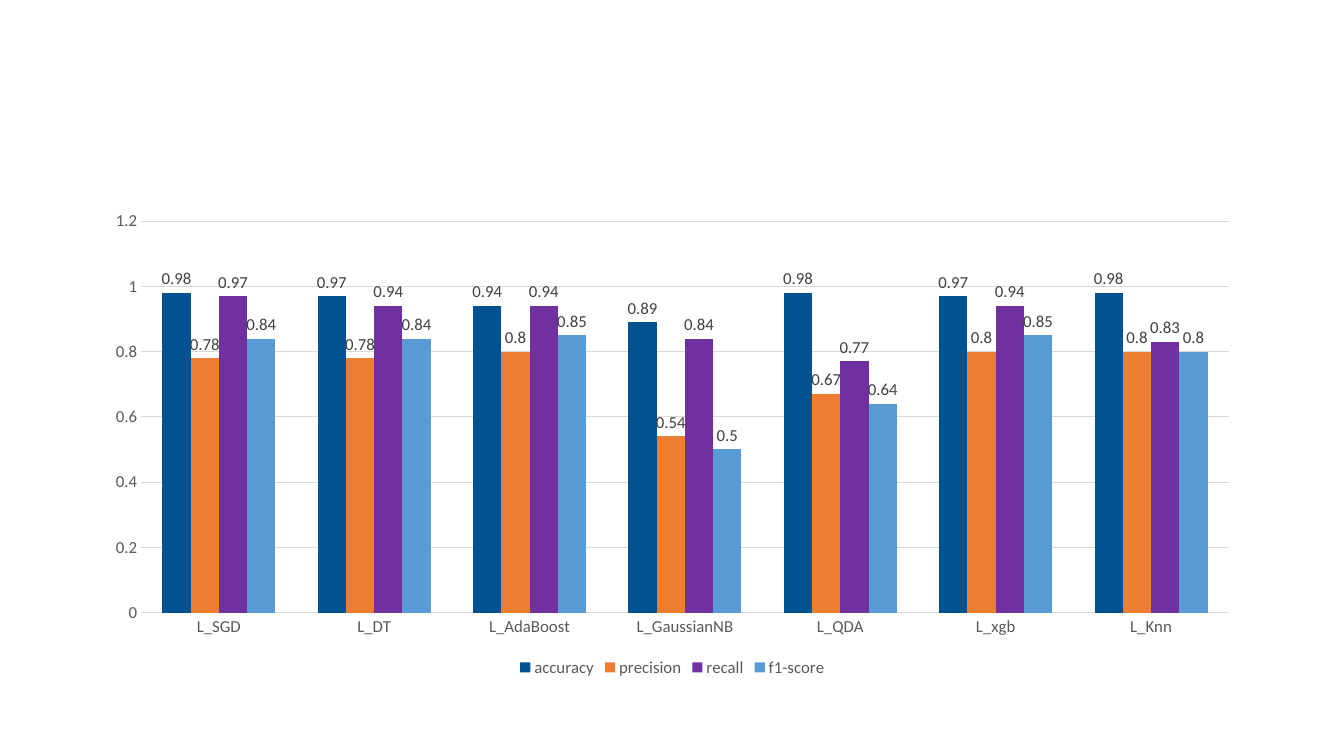
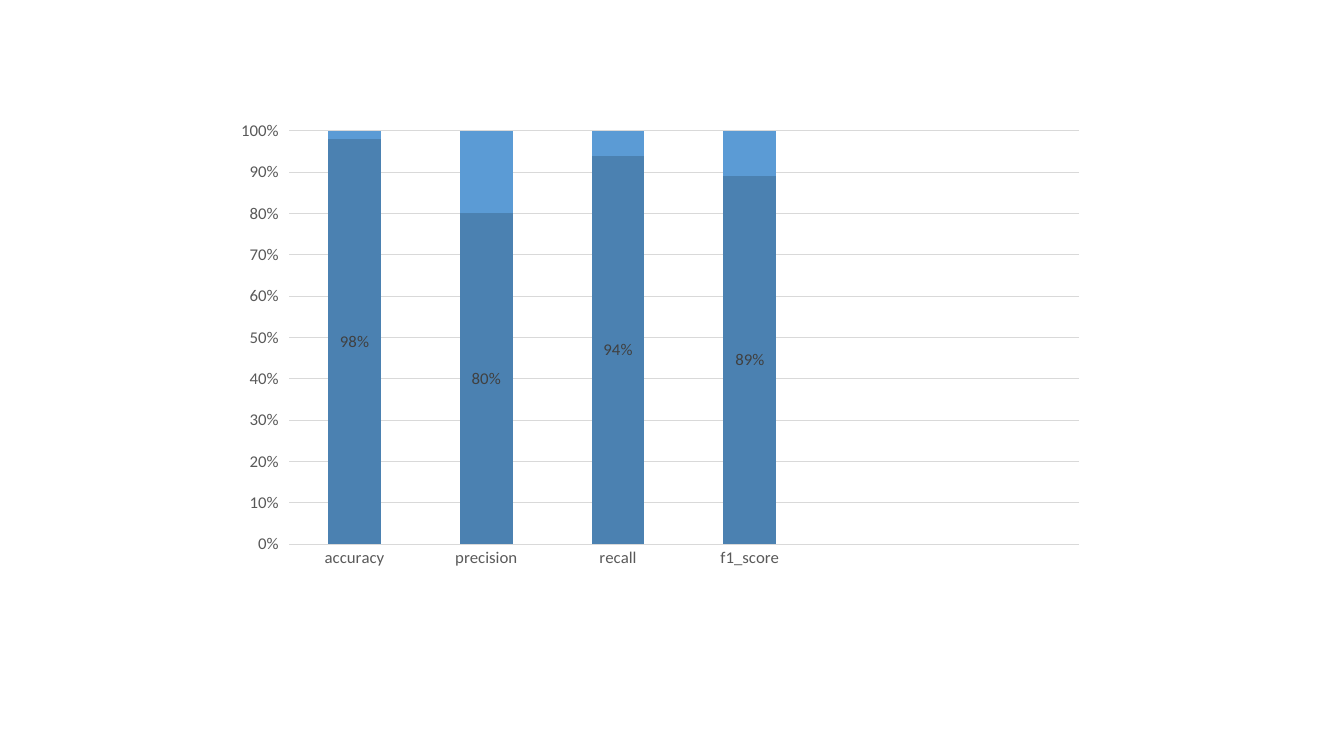
"""Builds two slides of column charts comparing classifier scores."""
from dataclasses import dataclass
from typing import Optional

from lxml import etree
from pptx import Presentation
from pptx.chart.chart import Chart
from pptx.chart.data import CategoryChartData
from pptx.dml.color import RGBColor
from pptx.enum.chart import (
    XL_CHART_TYPE,
    XL_LABEL_POSITION,
    XL_LEGEND_POSITION,
    XL_TICK_MARK,
)
from pptx.util import Inches, Pt

CLUSTERED = XL_CHART_TYPE.COLUMN_CLUSTERED
STACKED_100 = XL_CHART_TYPE.COLUMN_STACKED_100
ABOVE = XL_LABEL_POSITION.OUTSIDE_END
CENTER = XL_LABEL_POSITION.CENTER
BOTTOM = XL_LEGEND_POSITION.BOTTOM
TICK_NONE = XL_TICK_MARK.NONE
TICK_OUT = XL_TICK_MARK.OUTSIDE

NAVY = RGBColor(0x02, 0x52, 0x92)
ORANGE = RGBColor(0xED, 0x7D, 0x31)
PURPLE = RGBColor(0x70, 0x30, 0xA0)
SKY = RGBColor(0x5B, 0x9B, 0xD5)
STEEL = RGBColor(0x4B, 0x81, 0xB1)
PALE = RGBColor(0xAD, 0xC6, 0xE5)
AXIS_TEXT = RGBColor(0x59, 0x59, 0x59)
LABEL_TEXT = RGBColor(0x40, 0x40, 0x40)
GRID = RGBColor(0xD9, 0xD9, 0xD9)

FONT = "Calibri"
TEXT_SIZE = Pt(12)
SLIDE_WIDTH, SLIDE_HEIGHT = Inches(13.33), Inches(7.5)
BLANK_LAYOUT = 6
CHART_NS = "http://schemas.openxmlformats.org/drawingml/2006/chart"


@dataclass(frozen=True)
class Score:
    name: str
    values: tuple[Optional[float], ...]
    color: RGBColor
    labelled: bool = True


@dataclass(frozen=True)
class ScoreChart:
    kind: XL_CHART_TYPE
    percent_box: tuple[float, float, float, float]
    categories: tuple[str, ...]
    scores: tuple[Score, ...]
    number_format: str
    label_position: XL_LABEL_POSITION
    overlap: int
    value_axis: dict[str, object]
    has_legend: bool = False
    plot_box: Optional[tuple[float, float, float, float]] = None


MODEL_COMPARISON = ScoreChart(
    kind=CLUSTERED,
    percent_box=(6.9, 26.67, 86.25, 63.47),
    categories=("L_SGD", "L_DT", "L_AdaBoost", "L_GaussianNB", "L_QDA", "L_xgb", "L_Knn"),
    scores=(
        Score("accuracy", (0.98, 0.97, 0.94, 0.89, 0.98, 0.97, 0.98), NAVY),
        Score("precision", (0.78, 0.78, 0.8, 0.54, 0.67, 0.8, 0.8), ORANGE),
        Score("recall", (0.97, 0.94, 0.94, 0.84, 0.77, 0.94, 0.83), PURPLE),
        Score("f1-score", (0.84, 0.84, 0.85, 0.5, 0.64, 0.85, 0.8), SKY),
    ),
    number_format="General",
    label_position=ABOVE,
    overlap=0,
    value_axis={
        "minimum_scale": 0,
        "maximum_scale": 1.2,
        "major_unit": 0.2,
        "major_tick_mark": TICK_NONE,
    },
    has_legend=True,
)

FINAL_SCORES = ScoreChart(
    kind=STACKED_100,
    percent_box=(15.53, 16, 66.09, 63.47),
    categories=("accuracy", "precision", "recall", "f1_score", "", ""),
    scores=(
        Score("Series 1", (0.98, 0.8, 0.94, 0.89, None, None), STEEL),
        Score("Series 2", (0.02, 0.2, 0.06, 0.11, None, None), SKY, labelled=False),
        Score("Series 3", (None,) * 6, PALE, labelled=False),
    ),
    number_format="0%",
    label_position=CENTER,
    overlap=100,
    value_axis={"minimum_scale": 0, "major_unit": 0.1, "major_tick_mark": TICK_OUT},
    plot_box=(0.09, 0, 0.89, 0.88),
)


def set_attributes(target: object, values: dict[str, object]) -> None:
    for name, value in values.items():
        setattr(target, name, value)


def style_text(font: object, color: RGBColor) -> None:
    set_attributes(font, {"name": FONT, "size": TEXT_SIZE, "bold": False})
    font.color.rgb = color


def style_axes(chart: Chart, content: ScoreChart) -> None:
    for axis in (chart.category_axis, chart.value_axis):
        set_attributes(axis, {"major_tick_mark": TICK_NONE, "minor_tick_mark": TICK_NONE})
        style_text(axis.tick_labels.font, AXIS_TEXT)
        axis.format.line.fill.background()
    values = chart.value_axis
    set_attributes(values, {**content.value_axis, "has_major_gridlines": True})
    set_attributes(
        values.tick_labels,
        {"number_format": content.number_format, "number_format_is_linked": False},
    )
    grid_line = values.major_gridlines.format.line
    grid_line.color.rgb = GRID
    grid_line.width = Pt(0.75)


def style_scores(chart: Chart, content: ScoreChart) -> None:
    plot = chart.plots[0]
    set_attributes(
        plot,
        {"gap_width": 150, "overlap": content.overlap, "vary_by_categories": False},
    )
    for score, columns in zip(content.scores, plot.series):
        columns.invert_if_negative = False
        columns.format.fill.solid()
        columns.format.fill.fore_color.rgb = score.color
        if score.labelled:
            labels = columns.data_labels
            set_attributes(
                labels,
                {
                    "show_value": True,
                    "position": content.label_position,
                    "number_format": content.number_format,
                    "number_format_is_linked": False,
                },
            )
            style_text(labels.font, LABEL_TEXT)


def place_plot(chart: Chart, box: tuple[float, float, float, float]) -> None:
    plot_area = chart.element.find(f".//{{{CHART_NS}}}plotArea")
    for old_layout in plot_area.findall(f"{{{CHART_NS}}}layout"):
        plot_area.remove(old_layout)
    layout = etree.Element(f"{{{CHART_NS}}}layout")
    manual = etree.SubElement(layout, f"{{{CHART_NS}}}manualLayout")
    settings = {"layoutTarget": "inner", "xMode": "edge", "yMode": "edge"}
    settings.update(zip("xywh", map(str, box)))
    for tag, value in settings.items():
        etree.SubElement(manual, f"{{{CHART_NS}}}{tag}", val=value)
    plot_area.insert(0, layout)


def add_score_slide(deck: Presentation, content: ScoreChart) -> None:
    slide = deck.slides.add_slide(deck.slide_layouts[BLANK_LAYOUT])
    data = CategoryChartData(number_format=content.number_format)
    data.categories = content.categories
    for score in content.scores:
        data.add_series(score.name, score.values)
    extents = (SLIDE_WIDTH, SLIDE_HEIGHT) * 2
    box = [int(extent * share / 100) for extent, share in zip(extents, content.percent_box)]
    chart = slide.shapes.add_chart(content.kind, *box, data).chart
    set_attributes(chart, {"has_title": False, "has_legend": content.has_legend})
    set_attributes(chart.font, {"name": FONT, "size": Pt(10)})
    style_axes(chart, content)
    style_scores(chart, content)
    if content.has_legend:
        set_attributes(chart.legend, {"position": BOTTOM, "include_in_layout": False})
        style_text(chart.legend.font, AXIS_TEXT)
    if content.plot_box:
        place_plot(chart, content.plot_box)


def main() -> None:
    deck = Presentation()
    set_attributes(deck, {"slide_width": SLIDE_WIDTH, "slide_height": SLIDE_HEIGHT})
    for content in (MODEL_COMPARISON, FINAL_SCORES):
        add_score_slide(deck, content)
    deck.save("out.pptx")


if __name__ == "__main__":
    main()
